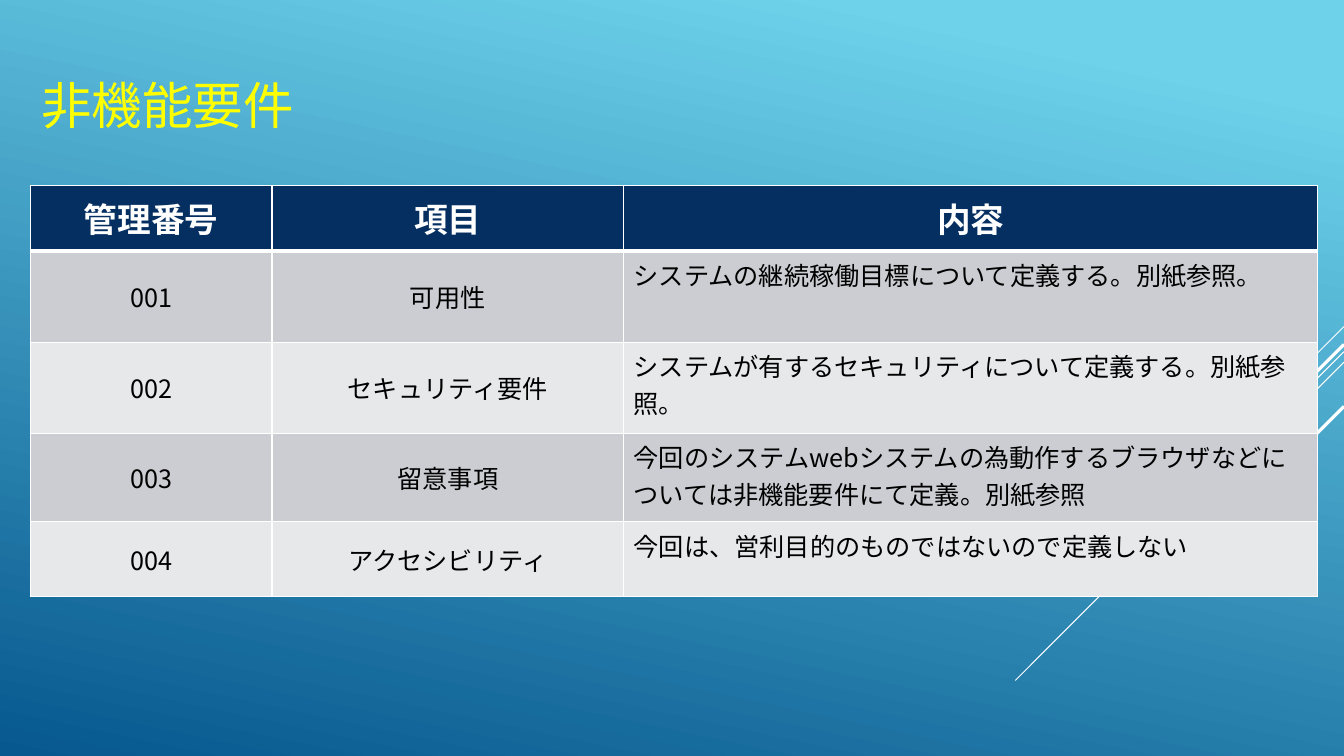
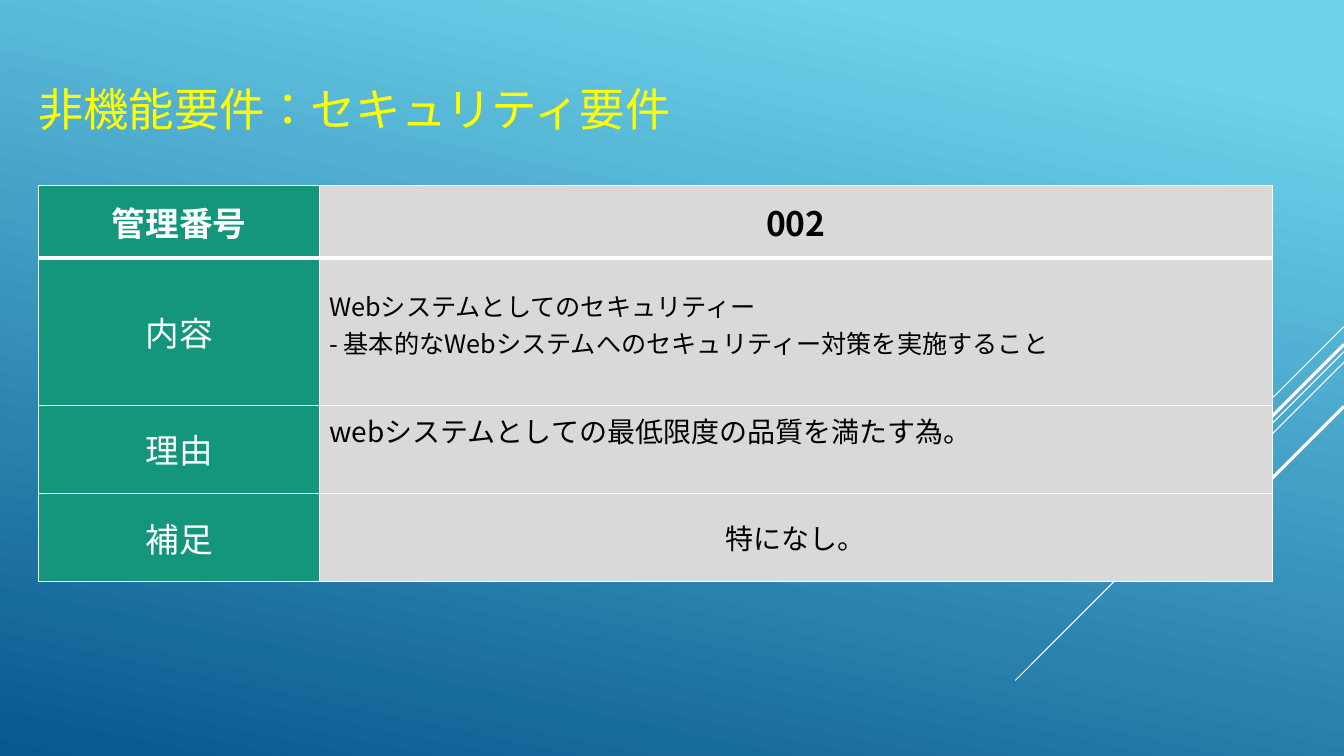
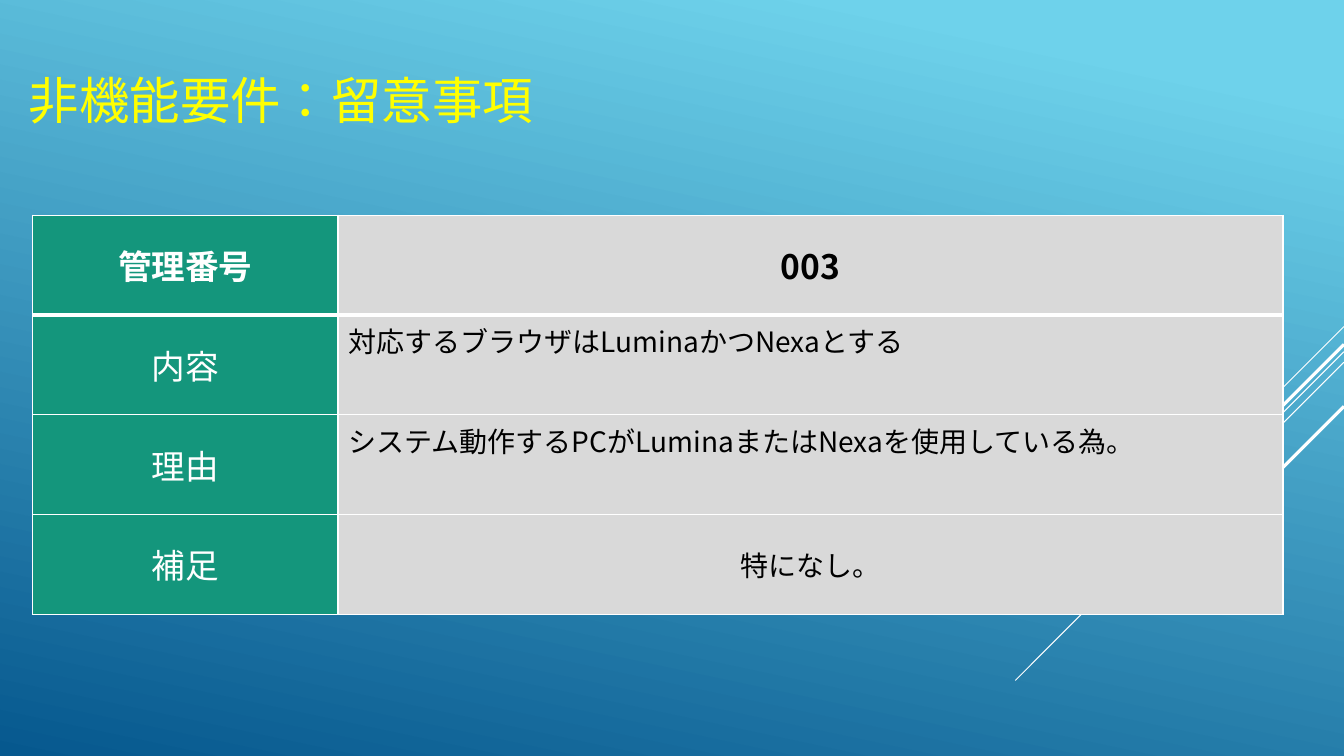
from lxml import etree
from pptx import Presentation
from pptx import util as u
from pptx.dml.color import RGBColor
from pptx.enum import lang, shapes, text
from pptx.oxml.ns import qn

PX = 9525
SLIDE_W, SLIDE_H = 1280, 720
SKY = RGBColor(0x6E, 0xD2, 0xEB)
DEEP_BLUE = RGBColor(0x06, 0x58, 0x8E)
WHITE = RGBColor(0xFF, 0xFF, 0xFF)
BLACK = RGBColor(0, 0, 0)
YELLOW = RGBColor(0xFF, 0xFF, 0)
NAVY = RGBColor(0x05, 0x2F, 0x61)
BANDS = (RGBColor(0xCC, 0xCD, 0xD2), RGBColor(0xE7, 0xE8, 0xEA))
GREEN = RGBColor(0x14, 0x96, 0x7C)
GRAY = RGBColor(0xD9, 0xD9, 0xD9)
NOTO, ADVENTOR = "Noto Sans CJK JP", "TeX Gyre Adventor"
LEFT, CENTER = text.PP_ALIGN.LEFT, text.PP_ALIGN.CENTER
TOP, MIDDLE = text.MSO_ANCHOR.TOP, text.MSO_ANCHOR.MIDDLE
RAYS = ((311, 96, 0.75), (335, 313, 0.75), (345, 199, 0.75),
        (328, 183, 2.25), (387, 133, 2.25))


def px(*lengths):
    """Turn px lengths into EMU."""
    return [u.Emu(length * PX) for length in lengths]


def write(frame, content, size=18, color=BLACK, bold=False, align=LEFT, font=NOTO):
    """Write each line of the content as one formatted paragraph."""
    for number, line in enumerate(content.split("\n")):
        paragraph = frame.add_paragraph() if number else frame.paragraphs[0]
        paragraph.alignment = align
        run = paragraph.add_run()
        run.text = line
        run.font.size = u.Pt(size)
        run.font.bold = bold
        run.font.color.rgb = color
        run.font.name = font
        run.font.language_id = lang.MSO_LANGUAGE_ID.JAPANESE
        east_asian = etree.Element(qn("a:ea"), typeface=NOTO)
        run.font._element.find(qn("a:latin")).addnext(east_asian)


def add_backdrop(slide):
    """Fill the background and draw the diagonal rays from the right edge."""
    fill = slide.background.fill
    fill.gradient()
    fill.gradient_angle = 258
    for stop, position, color in zip(fill.gradient_stops, (0.1, 1), (SKY, DEEP_BLUE)):
        stop.position = position
        stop.color.rgb = color
    for y, reach, weight in RAYS:
        ray = slide.shapes.add_connector(
            shapes.MSO_CONNECTOR.STRAIGHT, *px(SLIDE_W, y, SLIDE_W - reach, y + reach))
        ray.line.color.rgb = WHITE
        ray.line.width = u.Pt(weight)
        etree.SubElement(ray._element.spPr, qn("a:effectLst"))


def add_title(slide, box, content, size=36, font=NOTO):
    """Place the yellow slide title in its box."""
    frame = slide.shapes.add_textbox(*px(*box)).text_frame
    frame.word_wrap = True
    frame.vertical_anchor = MIDDLE
    write(frame, content, size=size, color=YELLOW, font=font)


def add_borders(cell, row):
    """Draw white cell borders, with a thick rule below the header row."""
    properties = cell._tc.get_or_add_tcPr()
    weights = {"lnL": 1, "lnR": 1, "lnT": 3 if row == 1 else 1, "lnB": 1 if row else 3}
    for side, weight in weights.items():
        line = etree.SubElement(properties, qn(f"a:{side}"), w=str(u.Pt(weight)))
        solid = etree.SubElement(line, qn("a:solidFill"))
        etree.SubElement(solid, qn("a:srgbClr"), val=str(WHITE))


def add_grid(slide, origin, widths, heights):
    """Add a plain table at the origin with the given column and row sizes."""
    size = (sum(widths), sum(heights))
    grid = slide.shapes.add_table(len(heights), len(widths), *px(*origin, *size)).table
    grid.first_row = grid.horz_banding = False
    for column, width in zip(grid.columns, px(*widths)):
        column.width = width
    for row, height in zip(grid.rows, px(*heights)):
        row.height = height
    return grid


def fill_cell(grid, row, column, content, fill, anchor=MIDDLE, **style):
    """Fill and border one cell, write its text and return it."""
    cell = grid.cell(row, column)
    add_borders(cell, row)
    cell.fill.solid()
    cell.fill.fore_color.rgb = fill
    cell.vertical_anchor = anchor
    write(cell.text_frame, content, **style)
    return cell


def add_list_table(slide, origin, widths, heights, header, records):
    """Add the banded overview of requirements."""
    grid = add_grid(slide, origin, widths, heights)
    for column, label in enumerate(header):
        fill_cell(grid, 0, column, label, NAVY, size=24, color=WHITE, bold=True,
                  align=CENTER, font=ADVENTOR)
    for row, record in enumerate(records, 1):
        for column, content in enumerate(record):
            is_description = column == len(record) - 1
            fill_cell(grid, row, column, content, BANDS[(row - 1) % 2],
                      anchor=TOP if is_description else MIDDLE,
                      align=LEFT if is_description else CENTER)


def add_detail_table(slide, origin, widths, heights, number, description, reason,
                     description_size=20, description_inset=5):
    """Add the detail sheet of one requirement, with labels on the left."""
    grid = add_grid(slide, origin, widths, heights)
    for row, label in enumerate(("管理番号", "内容", "理由", "補足")):
        fill_cell(grid, row, 0, label, GREEN, size=24, color=WHITE, bold=row == 0,
                  align=CENTER)
    fill_cell(grid, 0, 1, number, GRAY, size=24, bold=True, align=CENTER)
    description_cell = fill_cell(grid, 1, 1, description, GRAY, anchor=TOP,
                                 size=description_size)
    description_cell.margin_top = px(description_inset)[0]
    fill_cell(grid, 2, 1, reason, GRAY, anchor=TOP, size=20)
    fill_cell(grid, 3, 1, "特になし。", GRAY, size=20, align=CENTER)


def add_page(deck):
    """Add a blank slide with the shared backdrop."""
    slide = deck.slides.add_slide(deck.slide_layouts[6])
    add_backdrop(slide)
    return slide


def main():
    """Build the three slides and save them."""
    deck = Presentation()
    deck.slide_width, deck.slide_height = px(SLIDE_W, SLIDE_H)

    overview = add_page(deck)
    add_title(overview, (30, 62, 276, 75), "非機能要件")
    add_list_table(
        overview, (29, 177), (230, 335, 661), (62, 87, 87, 84, 71),
        ("管理番号", "項目", "内容"),
        (("001", "可用性", "システムの継続稼働目標について定義する。別紙参照。"),
         ("002", "セキュリティ要件", "システムが有するセキュリティについて定義する。別紙参照。"),
         ("003", "留意事項",
          "今回のシステムwebシステムの為動作するブラウザなどについては非機能要件にて定義。別紙参照"),
         ("004", "アクセシビリティ", "今回は、営利目的のものではないので定義しない")))

    security = add_page(deck)
    add_title(security, (27, 52, 636, 102), "非機能要件：セキュリティ要件",
              size=32.4, font=ADVENTOR)
    add_detail_table(
        security, (37, 177), (267, 908), (69, 140, 84, 84), "002",
        "Webシステムとしてのセキュリティー\n- 基本的なWebシステムへのセキュリティー対策を実施すること",
        "webシステムとしての最低限度の品質を満たす為。",
        description_size=18, description_inset=28)

    notes = add_page(deck)
    add_title(notes, (18, 38, 730, 114), "非機能要件：留意事項")
    add_detail_table(
        notes, (31, 205), (291, 900), (95,) * 4, "003",
        "対応するブラウザはLuminaかつNexaとする",
        "システム動作するPCがLuminaまたはNexaを使用している為。")

    deck.save("out.pptx")


if __name__ == "__main__":
    main()
